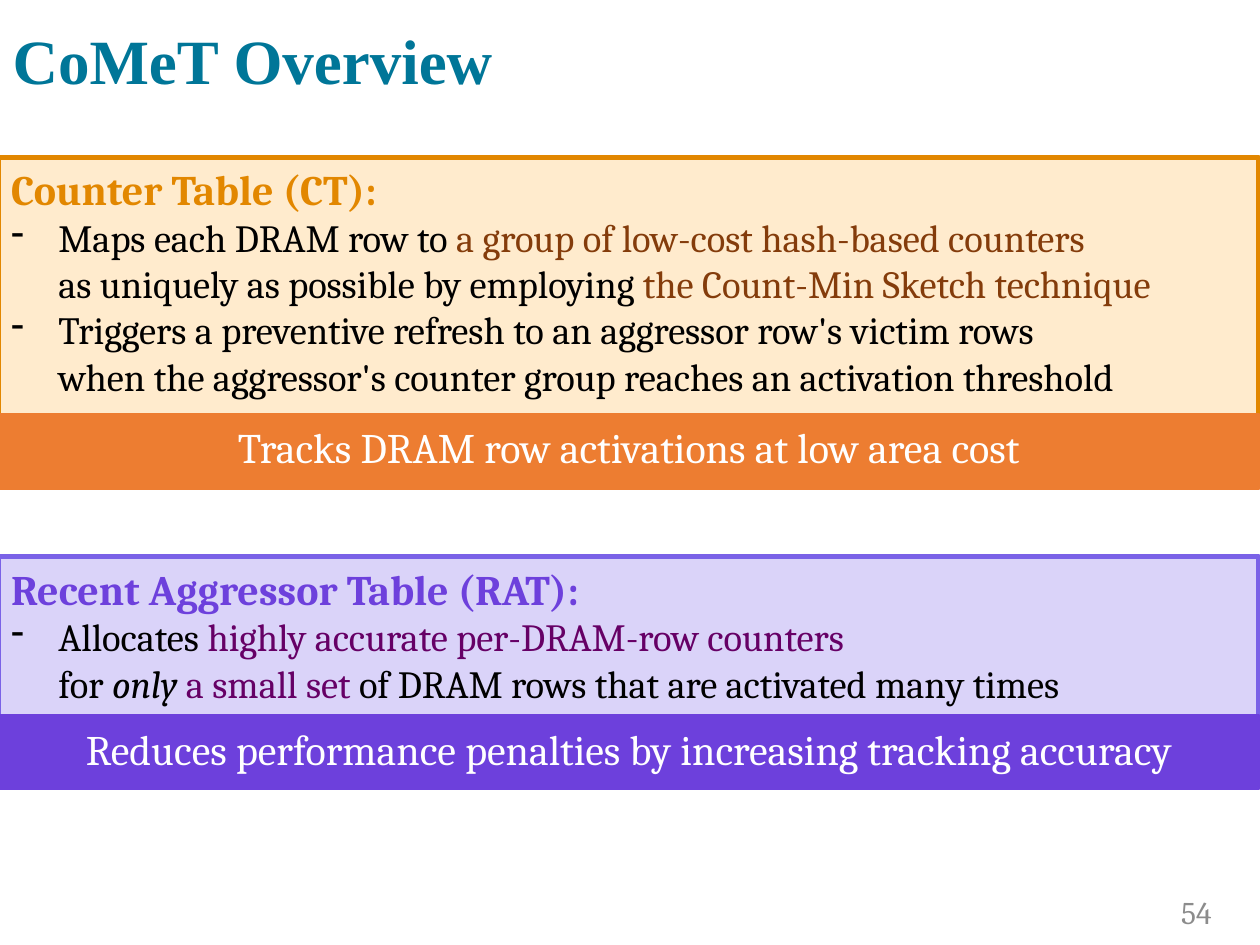
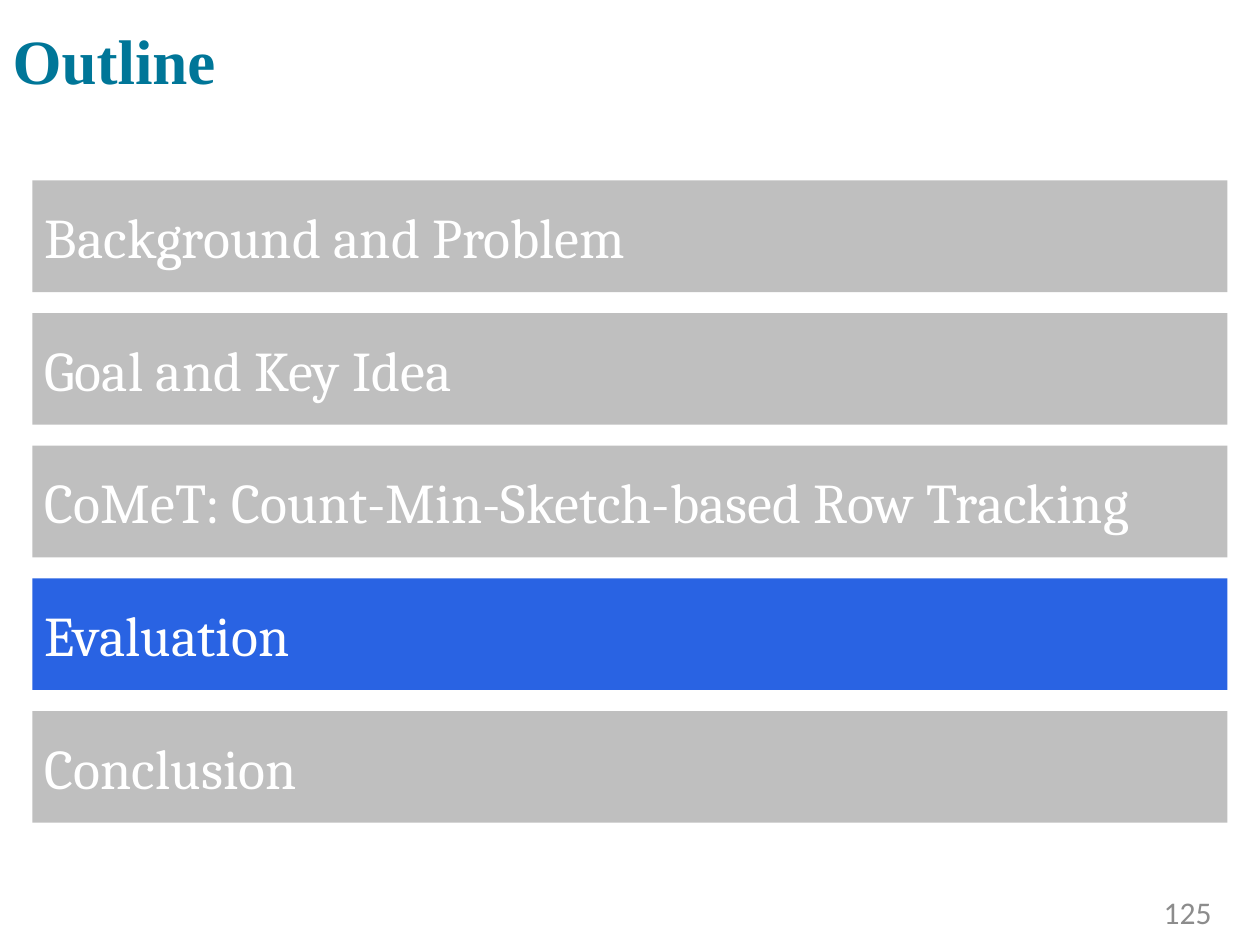
"""Build the CoMeT overview and outline slides."""
from typing import NamedTuple

from lxml import etree
from pptx import Presentation
from pptx.dml.color import RGBColor
from pptx.enum.shapes import MSO_SHAPE
from pptx.enum.text import MSO_ANCHOR, MSO_AUTO_SIZE, PP_ALIGN
from pptx.oxml.ns import qn
from pptx.util import Pt

RECT = MSO_SHAPE.RECTANGLE
TOP, MIDDLE = MSO_ANCHOR.TOP, MSO_ANCHOR.MIDDLE
LEFT, CENTER, RIGHT = PP_ALIGN.LEFT, PP_ALIGN.CENTER, PP_ALIGN.RIGHT
NO_FIT = MSO_AUTO_SIZE.NONE

SERIF, SANS, TIMES = "Cambria", "Calibri", "Times New Roman"
TEAL, GRAY, SILVER, BLUE = "007698", "8C8C8C", "BFBFBF", "2963E3"
BLACK, WHITE = "000000", "FFFFFF"
AMBER, CREAM, ORANGE, BROWN = "E28700", "FFEBCD", "ED7D31", "843C0B"
VIOLET, LILAC, PURPLE, PLUM = "6D40DC", "DAD3F9", "7A62E7", "660066"
WIDTH, HEIGHT = 720, 540
EDGE = -0.7
INDENT = 27


class Span(NamedTuple):
    text: str
    color: str = BLACK
    italic: bool = False


class Box(NamedTuple):
    left: float
    top: float
    width: float
    height: float


class Panel(NamedTuple):
    head: str
    items: list
    note: str
    ink: str
    fill: str
    edge: str
    band: str
    box: Box
    strip: Box


PANELS = [
    Panel(
        "Counter Table (CT):",
        [
            [
                [Span("Maps each DRAM row to "),
                 Span("a group of low-cost hash-based counters ", BROWN)],
                [Span("as uniquely as possible by employing "),
                 Span("the Count-Min Sketch technique", BROWN)],
            ],
            [
                [Span("Triggers a preventive refresh to an aggressor row's victim rows")],
                [Span("when the aggressor's counter group reaches an activation threshold")],
            ],
        ],
        "Tracks DRAM row activations at low area cost",
        AMBER, CREAM, AMBER, ORANGE,
        Box(EDGE, 90, WIDTH, 151.2), Box(EDGE, 237.6, WIDTH, 41),
    ),
    Panel(
        "Recent Aggressor Table (RAT):",
        [
            [
                [Span("Allocates "),
                 Span("highly accurate per-DRAM-row counters ", PLUM)],
                [Span("for "), Span("only", BLACK, True),
                 Span(" a small set ", PLUM),
                 Span("of DRAM rows that are activated many times")],
            ],
        ],
        "Reduces performance penalties by increasing tracking accuracy",
        VIOLET, LILAC, PURPLE, VIOLET,
        Box(EDGE, 318.2, WIDTH, 108.7), Box(EDGE, 409.7, WIDTH, 40.3),
    ),
]
TOPICS = [
    "Background and Problem",
    "Goal and Key Idea",
    "CoMeT: Count-Min-Sketch-based Row Tracking",
    "Evaluation",
    "Conclusion",
]
ACTIVE = "Evaluation"
BAR = Box(18.5, 103.1, 682.9, 63.8)
PITCH = 75.8
HEAD = Box(0, 0, WIDTH, 73.4)
FOOT = Box(639.4, 506.3, 60, 30)


def rgb(color: str) -> RGBColor:
    return RGBColor.from_string(color)


def points(box: Box) -> list:
    return [Pt(value) for value in box]


def write(para, text: str, size: float, color: str, face: str = SERIF,
          bold: bool = False, italic: bool = False) -> None:
    run = para.add_run()
    run.text = text
    font = run.font
    font.name, font.size, font.bold, font.italic = face, Pt(size), bold, italic
    font.color.rgb = rgb(color)


def bullet(para) -> None:
    props = para._p.get_or_add_pPr()
    props.set("marL", str(Pt(INDENT)))
    props.set("indent", str(-Pt(INDENT)))
    etree.SubElement(props, qn("a:buChar")).set("char", "-")


def block(slide, box: Box, fill: str, edge: str = "", anchor=TOP, align=LEFT):
    shape = slide.shapes.add_shape(RECT, *points(box))
    shape.shadow.inherit = False
    shape.fill.solid()
    shape.fill.fore_color.rgb = rgb(fill)
    if edge:
        shape.line.color.rgb = rgb(edge)
        shape.line.width = Pt(3)
    else:
        shape.line.fill.background()
    frame = shape.text_frame
    frame.word_wrap = True
    frame.vertical_anchor = anchor
    frame.paragraphs[0].alignment = align
    return frame


def start(deck, title: str, number: str, face: str):
    slide = deck.slides.add_slide(deck.slide_layouts[5])
    head = slide.shapes.title
    head.left, head.top, head.width, head.height = points(HEAD)
    frame = head.text_frame
    frame.auto_size = NO_FIT
    frame.vertical_anchor = MIDDLE
    para = frame.paragraphs[0]
    para.alignment, para.line_spacing = LEFT, 0.9
    write(para, title, 36, TEAL, TIMES, bold=True)

    foot = slide.shapes.add_textbox(*points(FOOT)).text_frame
    foot.word_wrap = True
    foot.vertical_anchor = MIDDLE
    foot.paragraphs[0].alignment = RIGHT
    write(foot.paragraphs[0], number, 18, GRAY, face)
    return slide


def draw(slide, panel: Panel) -> None:
    frame = block(slide, panel.box, panel.fill, panel.edge)
    write(frame.paragraphs[0], panel.head, 24, panel.ink, bold=True)
    for item in panel.items:
        para = frame.add_paragraph()
        para.alignment = LEFT
        bullet(para)
        for row, spans in enumerate(item):
            if row:
                para.add_line_break()
            for span in spans:
                write(para, span.text, 22, span.color, italic=span.italic)
    strip = block(slide, panel.strip, panel.band, panel.band, align=CENTER)
    write(strip.paragraphs[0], panel.note, 24, WHITE)


def main() -> None:
    deck = Presentation()
    deck.slide_width, deck.slide_height = Pt(WIDTH), Pt(HEIGHT)

    slide = start(deck, "CoMeT Overview", "54", SERIF)
    for panel in PANELS:
        draw(slide, panel)

    slide = start(deck, "Outline", "125", SANS)
    for row, topic in enumerate(TOPICS):
        box = BAR._replace(top=BAR.top + row * PITCH)
        fill = BLUE if topic == ACTIVE else SILVER
        frame = block(slide, box, fill, anchor=MIDDLE)
        write(frame.paragraphs[0], topic, 32, WHITE)

    deck.save("out.pptx")


if __name__ == "__main__":
    main()
